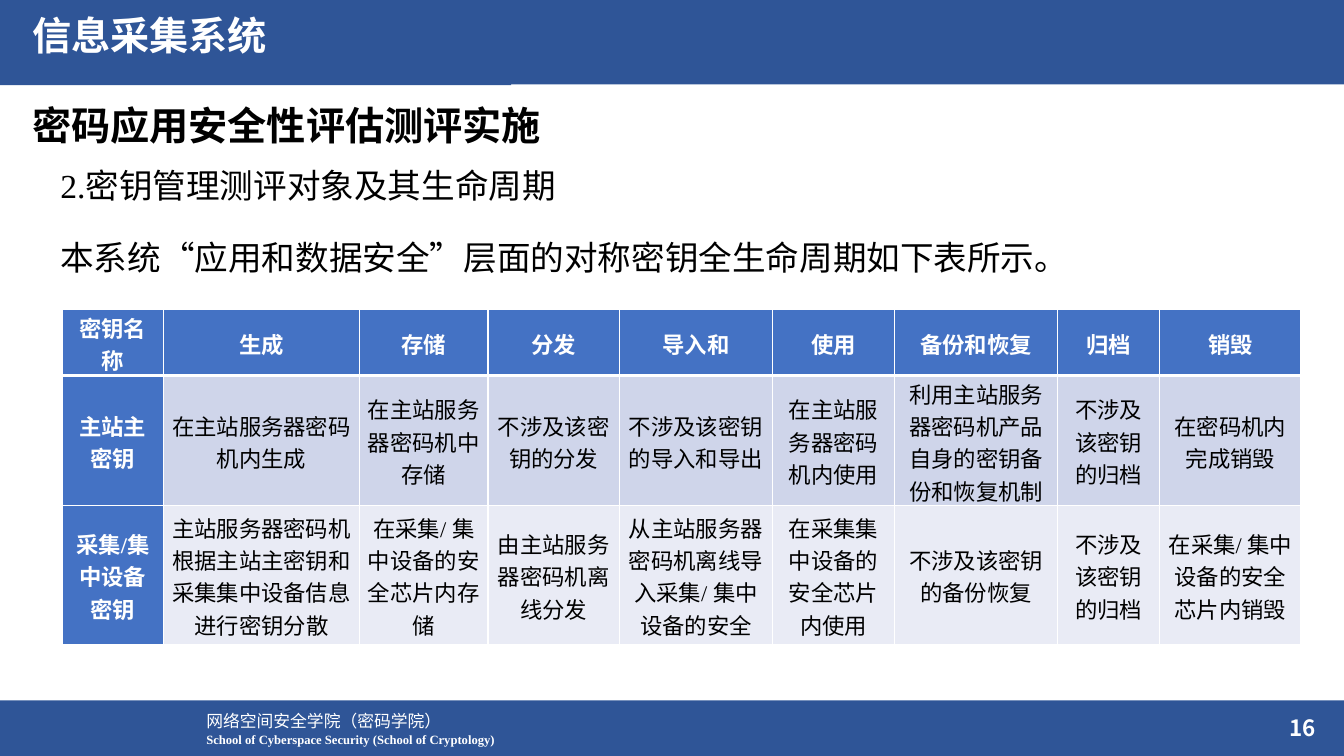
from lxml.etree import SubElement
from pptx import Presentation
from pptx.dml.color import RGBColor
from pptx.enum.shapes import MSO_SHAPE as Shape
from pptx.enum.text import MSO_ANCHOR as Anchor, PP_ALIGN as Align
from pptx.oxml.ns import qn
from pptx.util import Cm, Pt

NAVY = RGBColor(0x2F, 0x55, 0x97)
BLUE = RGBColor(0x44, 0x72, 0xC4)
PALE = RGBColor(0xCF, 0xD5, 0xEA)
PALER = RGBColor(0xE9, 0xEB, 0xF5)
WHITE = RGBColor(0xFF, 0xFF, 0xFF)
BLACK = RGBColor(0x00, 0x00, 0x00)
SANS = "Noto Sans CJK SC"
SERIF = "Times New Roman"


def style(para, size, color, bold, face, align):
    para.alignment = align
    font = para.font
    font.size, font.bold, font.name = Pt(size), bold, face
    font.color.rgb = color
    SubElement(font._rPr, qn("a:ea")).set("typeface", SANS)


def write(box, place, lines, size, color, bold=False, face=SANS,
          align=Align.LEFT, anchor=Anchor.TOP, spacing=1.0, gap=0):
    box.left, box.top, box.width, box.height = map(Cm, place)
    frame = box.text_frame
    frame.word_wrap = True
    frame.vertical_anchor = anchor
    frame.text = "\n".join(lines)
    for index, para in enumerate(frame.paragraphs):
        para.line_spacing = spacing
        para.space_before = Pt(gap if index else 0)
        style(para, size, color, bold, face, align)


deck = Presentation()
deck.slide_width, deck.slide_height = Cm(33.87), Cm(19.05)
page = deck.slides.add_slide(deck.slide_layouts[5])
shapes = page.shapes

bands = [(0, 17.65, 33.87, 1.4), (0, 0, 33.87, 2.13), (0, 0, 12.88, 2.15)]
for place in bands:
    band = shapes.add_shape(Shape.RECTANGLE, *map(Cm, place))
    band.shadow.inherit = False
    band.fill.solid()
    band.fill.fore_color.rgb = NAVY
    band.line.fill.background()

title = shapes.title
shapes._spTree.append(title._element)
write(title, (0.56, 0.28, 21.39, 1.55), ["信息采集系统"], 28, WHITE, True, spacing=0.9)

school, school_english, number, heading, body = [
    shapes.add_textbox(0, 0, Cm(1), Cm(1)) for _ in range(5)]
write(school, (4.95, 17.78, 8, 0.76), ["网络空间安全学院（密码学院）"], 12, WHITE)
write(school_english, (4.95, 18.31, 9, 0.64),
      ["School of Cyberspace Security (School of Cryptology)"], 9, WHITE, True, SERIF)
write(number, (25.78, 17.83, 7.62, 1.02), ["16"], 16, WHITE, True,
      align=Align.RIGHT, anchor=Anchor.MIDDLE)
write(heading, (0.56, 2.57, 32.77, 1.57), ["密码应用安全性评估测评实施"],
      28, BLACK, True, spacing=0.9)
write(body, (1.27, 4.14, 31.75, 3.5),
      ["2.密钥管理测评对象及其生命周期",
       "本系统“应用和数据安全”层面的对称密钥全生命周期如下表所示。"],
      24, BLACK, face=SERIF, align=Align.JUSTIFY, spacing=0.9, gap=26)

rows = [
    ["密钥名称", "生成", "存储", "分发", "导入和", "使用", "备份和恢复", "归档", "销毁"],
    ["主站主密钥", "在主站服务器密码机内生成", "在主站服务器密码机中存储",
     "不涉及该密钥的分发", "不涉及该密钥的导入和导出", "在主站服务器密码机内使用",
     "利用主站服务器密码机产品自身的密钥备份和恢复机制",
     "不涉及该密钥的归档", "在密码机内完成销毁"],
    ["采集/集中设备密钥", "主站服务器密码机根据主站主密钥和采集集中设备佶息进行密钥分散",
     "在采集/ 集中设备的安全芯片内存储", "由主站服务器密码机离线分发",
     "从主站服务器密码机离线导入采集/ 集中设备的安全",
     "在采集集中设备的安全芯片内使用", "不涉及该密钥的备份恢复",
     "不涉及该密钥的归档", "在采集/ 集中设备的安全芯片内销毁"],
]
widths = [2.55, 4.94, 3.24, 3.31, 3.86, 3.08, 4.1, 2.58, 3.56]
heights = [1.66, 3.28, 3.5]
fills = [BLUE, PALE, PALER]

table = shapes.add_table(len(rows), len(widths), Cm(1.57), Cm(7.8),
                         Cm(sum(widths)), Cm(sum(heights))).table
table.first_col = True
table.horz_banding = False
for column, width in zip(table.columns, widths):
    column.width = Cm(width)
for r, texts in enumerate(rows):
    table.rows[r].height = Cm(heights[r])
    for c, text in enumerate(texts):
        cell = table.cell(r, c)
        is_header = r == 0 or c == 0
        cell.text = text
        cell.vertical_anchor = Anchor.MIDDLE
        cell.margin_left = cell.margin_right = Cm(0.2)
        cell.margin_top, cell.margin_bottom = Cm(0.05), Cm(0)
        borders = {"L": 1, "R": 1, "T": 3 if r == 1 else 1, "B": 3 if r == 0 else 1}
        for side, points in borders.items():
            line = SubElement(cell._tc.get_or_add_tcPr(), qn(f"a:ln{side}"), w=str(Pt(points)))
            SubElement(SubElement(line, qn("a:solidFill")), qn("a:srgbClr"), val=str(WHITE))
        cell.fill.solid()
        cell.fill.fore_color.rgb = BLUE if is_header else fills[r]
        style(cell.text_frame.paragraphs[0], 16, WHITE if is_header else BLACK,
              is_header, SERIF, Align.CENTER)

deck.save("out.pptx")
